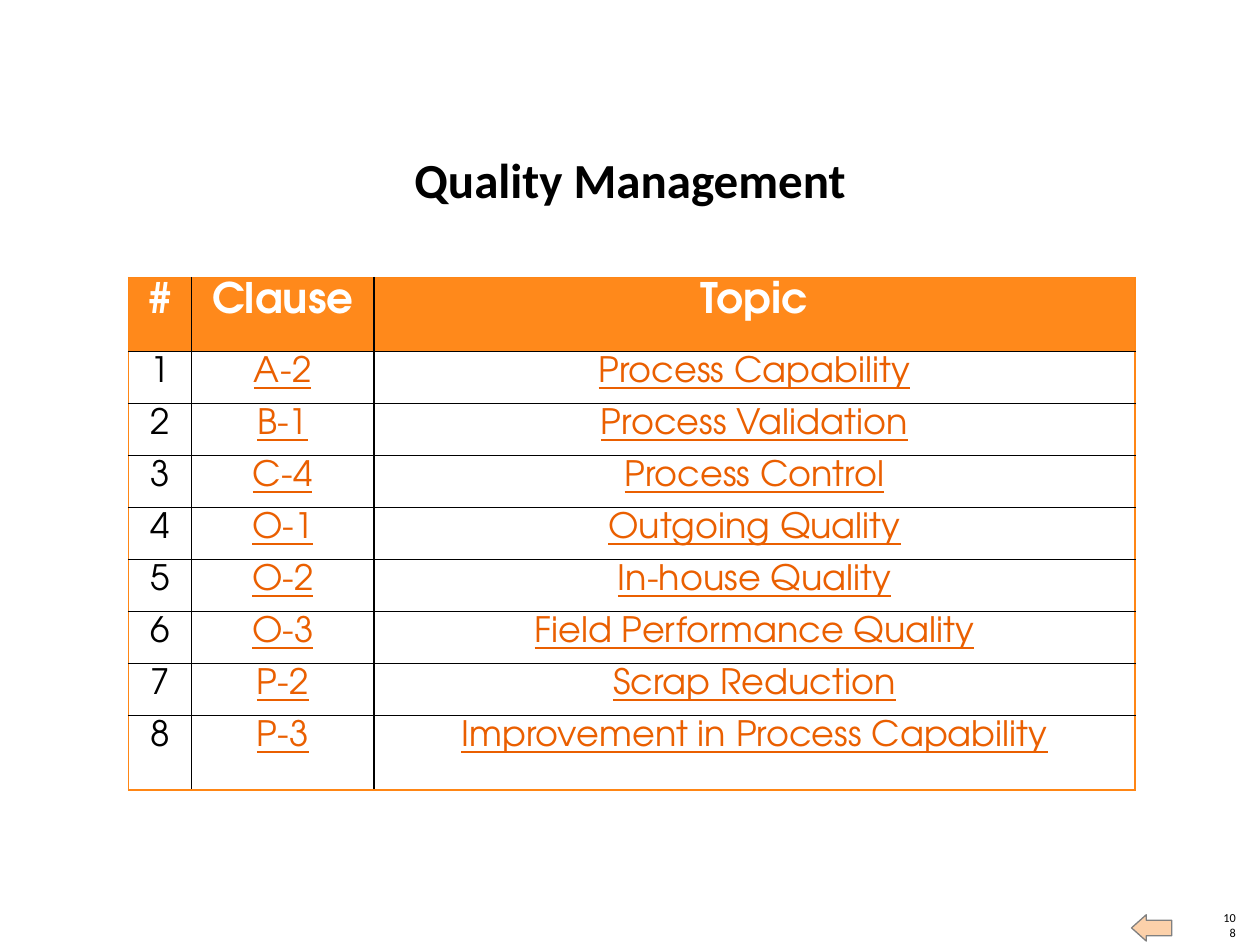
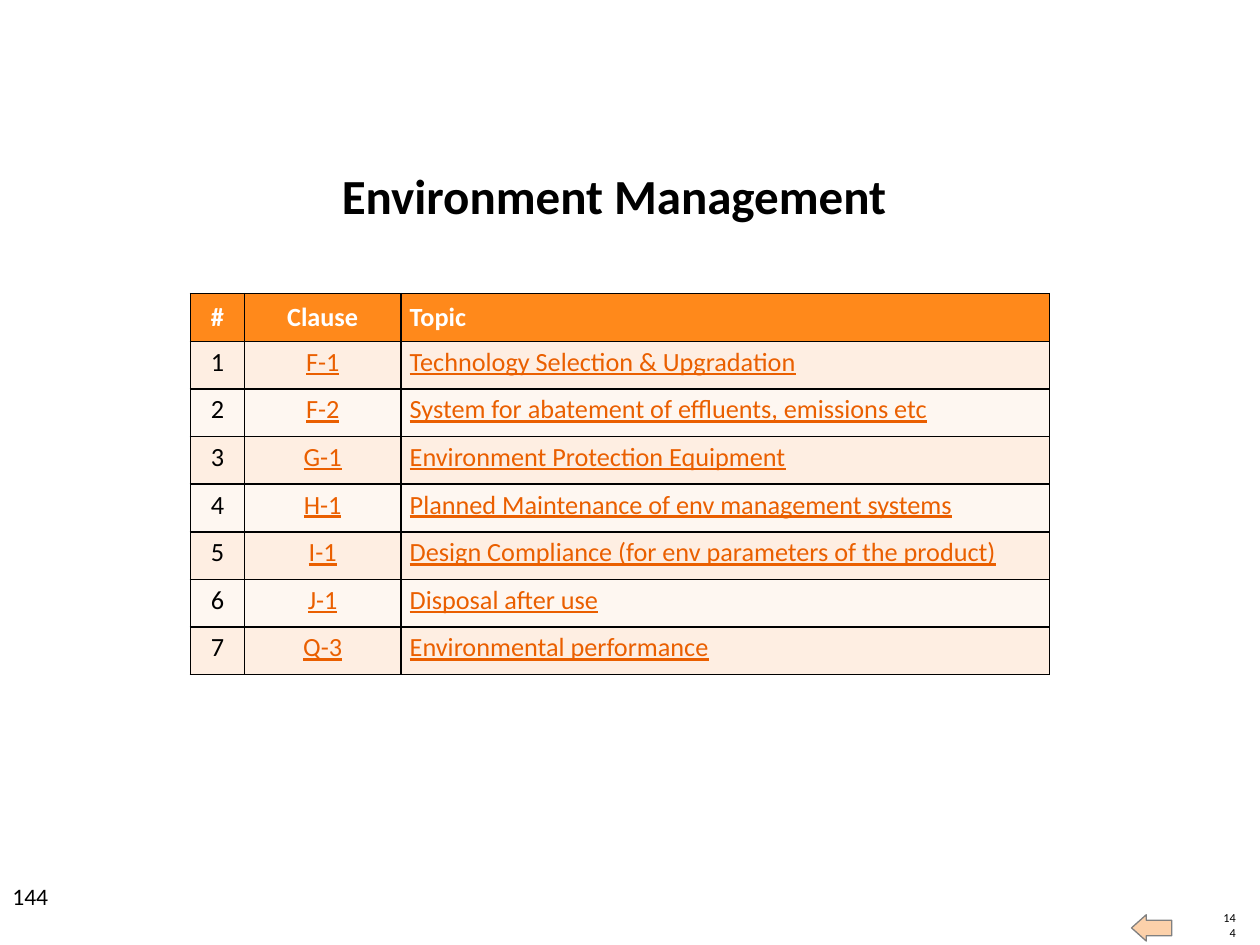
from dataclasses import dataclass
from typing import Optional

from lxml.etree import SubElement
from pptx import Presentation
from pptx.dml.color import RGBColor
from pptx.enum.shapes import MSO_SHAPE
from pptx.enum.text import MSO_ANCHOR, PP_ALIGN
from pptx.oxml.ns import qn
from pptx.slide import Slide
from pptx.util import Cm, Pt

COLORS = {
    "black": "000000",
    "white": "FFFFFF",
    "header": "FF891B",
    "frame": "FF8615",
    "link": "EA5F00",
    "band_dark": "FEEEE2",
    "band_light": "FEF7F1",
    "arrow": "FCD1AA",
    "arrow_edge": "808080",
}
BODY_FONT = "Calibri"
HEADINGS = ("#", "Clause", "Topic")


@dataclass(frozen=True)
class Heading:
    text: str
    left: float
    top: float
    width: float
    anchor: MSO_ANCHOR


@dataclass(frozen=True)
class ClauseTable:
    left: float
    top: float
    columns: tuple[float, ...]
    rows: tuple[float, ...]
    clauses: tuple[tuple[str, str], ...]
    font: str
    header_size: float
    body_size: float
    header_anchor: MSO_ANCHOR
    topic_align: PP_ALIGN
    frame: tuple[str, float]
    bands: Optional[tuple[str, str]] = None


@dataclass(frozen=True)
class Section:
    heading: Heading
    table: ClauseTable
    page: str
    shows_large_page: bool = False


def rgb(name: str) -> RGBColor:
    return RGBColor.from_string(COLORS[name])


def style_paragraph(paragraph, size: float, color: str = "black", font: str = BODY_FONT,
                    align: PP_ALIGN = PP_ALIGN.LEFT, bold: bool = False,
                    underline: bool = False) -> None:
    paragraph.alignment = align
    paragraph.font.name = font
    paragraph.font.size = Pt(size)
    paragraph.font.bold = bold
    paragraph.font.underline = underline
    paragraph.font.color.rgb = rgb(color)


def clear_margins(frame) -> None:
    frame.margin_left = frame.margin_right = frame.margin_top = frame.margin_bottom = 0


def add_heading(slide: Slide, heading: Heading) -> None:
    title = slide.shapes.title
    title.left, title.top = Cm(heading.left), Cm(heading.top)
    title.width, title.height = Cm(heading.width), Cm(1.19)
    frame = title.text_frame
    frame.text = heading.text
    frame.vertical_anchor = heading.anchor
    clear_margins(frame)
    style_paragraph(frame.paragraphs[0], 28, align=PP_ALIGN.CENTER, bold=True)


def add_border(cell, side: str, color: str, width: float) -> None:
    line = SubElement(cell._tc.get_or_add_tcPr(), qn(f"a:ln{side}"), w=str(Pt(width)))
    fill = SubElement(line, qn("a:solidFill"))
    SubElement(fill, qn("a:srgbClr"), val=COLORS[color])


def add_clause_table(slide: Slide, spec: ClauseTable) -> None:
    records = [HEADINGS] + [
        (str(number), *clause) for number, clause in enumerate(spec.clauses, 1)
    ]
    last_row, last_column = len(records) - 1, len(HEADINGS) - 1
    table = slide.shapes.add_table(
        len(records), len(HEADINGS), Cm(spec.left), Cm(spec.top),
        Cm(sum(spec.columns)), Cm(sum(spec.rows)),
    ).table
    table.horz_banding = False
    for column, width in zip(table.columns, spec.columns):
        column.width = Cm(width)
    for row, height in zip(table.rows, spec.rows):
        row.height = Cm(height)

    for r, record in enumerate(records):
        for c, text in enumerate(record):
            cell = table.cell(r, c)
            is_header = r == 0
            is_link = not is_header and c > 0
            cell.text = text
            cell.margin_left = cell.margin_right = Cm(0.18)
            cell.margin_top = cell.margin_bottom = Cm(0.1)
            cell.vertical_anchor = spec.header_anchor if is_header else MSO_ANCHOR.TOP
            outer_sides = {"L": c == 0, "R": c == last_column,
                           "T": is_header, "B": r == last_row}
            for side, is_outer in outer_sides.items():
                add_border(cell, side, *(spec.frame if is_outer else ("black", 1)))
            if is_header:
                fill = "header"
            else:
                fill = spec.bands[(r - 1) % 2] if spec.bands else None
            if fill:
                cell.fill.solid()
                cell.fill.fore_color.rgb = rgb(fill)
            else:
                cell.fill.background()
            style_paragraph(
                cell.text_frame.paragraphs[0],
                spec.header_size if is_header else spec.body_size,
                "white" if is_header else "link" if is_link else "black",
                spec.font,
                spec.topic_align if c == last_column else PP_ALIGN.CENTER,
                bold=is_header, underline=is_link,
            )


def add_footer(slide: Slide, page: str) -> None:
    frame = slide.shapes.add_textbox(Cm(24.61), Cm(18.64), Cm(0.3), Cm(0.3)).text_frame
    frame.word_wrap = True
    frame.vertical_anchor = MSO_ANCHOR.BOTTOM
    clear_margins(frame)
    frame.text = page
    style_paragraph(frame.paragraphs[0], 7, align=PP_ALIGN.RIGHT)

    back_arrow = slide.shapes.add_shape(
        MSO_SHAPE.RIGHT_ARROW, Cm(22.81), Cm(18.44), Cm(0.81), Cm(0.53))
    back_arrow.rotation = 180
    back_arrow.adjustments[0] = 0.59
    back_arrow.adjustments[1] = 0.56
    back_arrow.shadow.inherit = False
    back_arrow.fill.solid()
    back_arrow.fill.fore_color.rgb = rgb("arrow")
    back_arrow.line.color.rgb = rgb("arrow_edge")
    back_arrow.line.width = Pt(0.75)


def add_large_page(slide: Slide, page: str) -> None:
    frame = slide.shapes.add_textbox(0, Cm(17.65), Cm(5.92), Cm(1.02)).text_frame
    frame.word_wrap = True
    frame.text = page
    style_paragraph(frame.paragraphs[0], 13.5)


SECTIONS = (
    Section(
        Heading("Quality Management", 7.44, 3.02, 10.52, MSO_ANCHOR.BOTTOM),
        ClauseTable(
            left=2.59, top=5.59,
            columns=(1.27, 3.68, 15.34),
            rows=(1.5, *[1.04] * 7, 1.5),
            clauses=(
                ("A-2", "Process Capability"),
                ("B-1", "Process Validation"),
                ("C-4", "Process Control"),
                ("O-1", "Outgoing Quality"),
                ("O-2", "In-house Quality"),
                ("O-3", "Field Performance Quality"),
                ("P-2", "Scrap Reduction"),
                ("P-3", "Improvement in Process Capability"),
            ),
            font="TeX Gyre Adventor", header_size=24, body_size=20,
            header_anchor=MSO_ANCHOR.TOP, topic_align=PP_ALIGN.CENTER,
            frame=("frame", 0.75),
        ),
        page="108",
    ),
    Section(
        Heading("Environment Management", 4.78, 3.33, 15.19, MSO_ANCHOR.MIDDLE),
        ClauseTable(
            left=3.84, top=5.92,
            columns=(1.09, 3.15, 13.08),
            rows=(0.96,) * 8,
            clauses=(
                ("F-1", "Technology Selection & Upgradation"),
                ("F-2", "System for abatement of effluents, emissions etc"),
                ("G-1", "Environment Protection Equipment"),
                ("H-1", "Planned Maintenance of env management systems"),
                ("I-1", "Design Compliance (for env parameters of the product)"),
                ("J-1", "Disposal after use"),
                ("Q-3", "Environmental performance"),
            ),
            font=BODY_FONT, header_size=15, body_size=15,
            header_anchor=MSO_ANCHOR.MIDDLE, topic_align=PP_ALIGN.LEFT,
            frame=("black", 1), bands=("band_dark", "band_light"),
        ),
        page="144",
        shows_large_page=True,
    ),
)


def main() -> None:
    presentation = Presentation()
    presentation.slide_width, presentation.slide_height = Cm(25.4), Cm(19.05)
    title_only = presentation.slide_layouts[5]
    for section in SECTIONS:
        slide = presentation.slides.add_slide(title_only)
        add_footer(slide, section.page)
        add_heading(slide, section.heading)
        add_clause_table(slide, section.table)
        if section.shows_large_page:
            add_large_page(slide, section.page)
    presentation.save("out.pptx")


if __name__ == "__main__":
    main()
